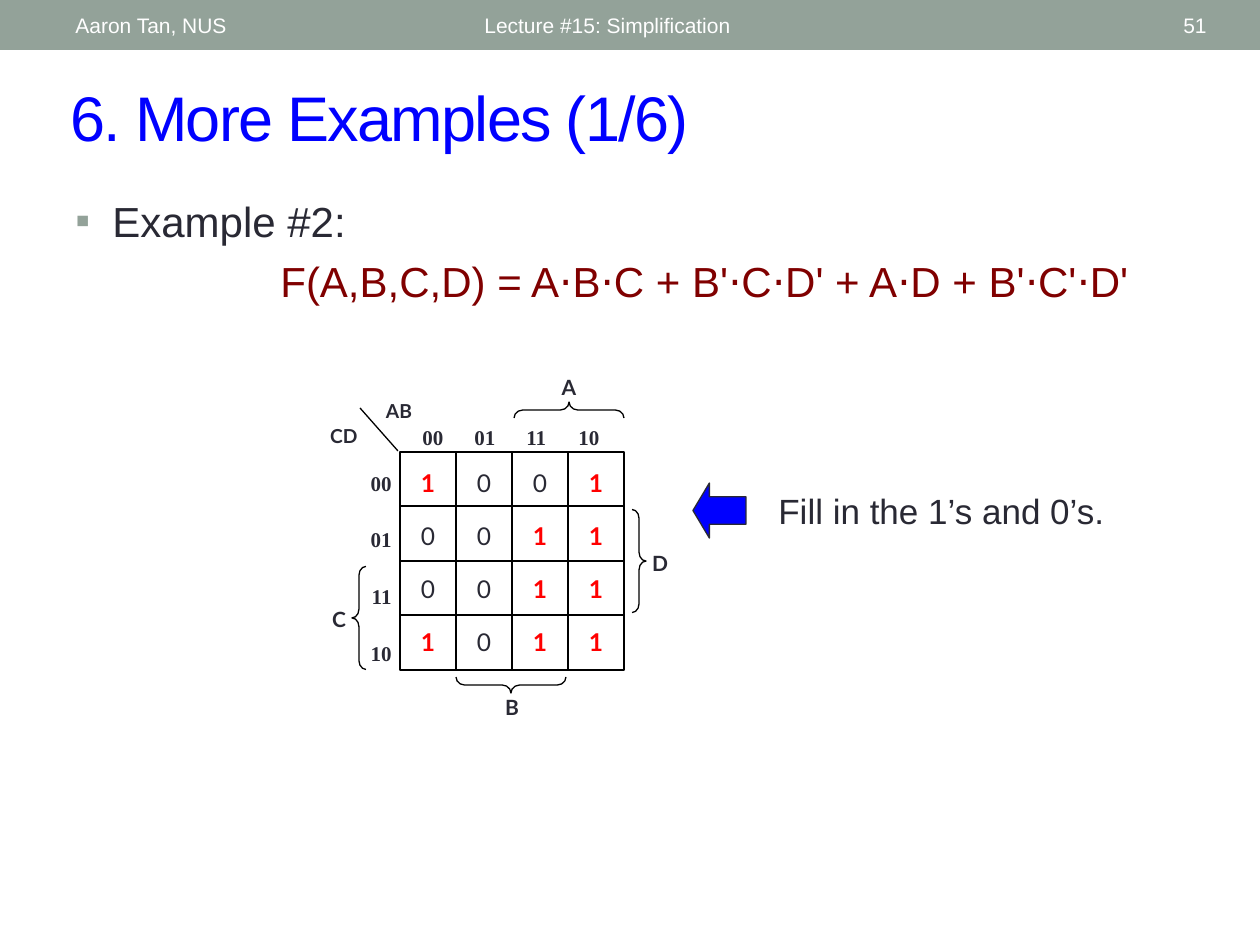
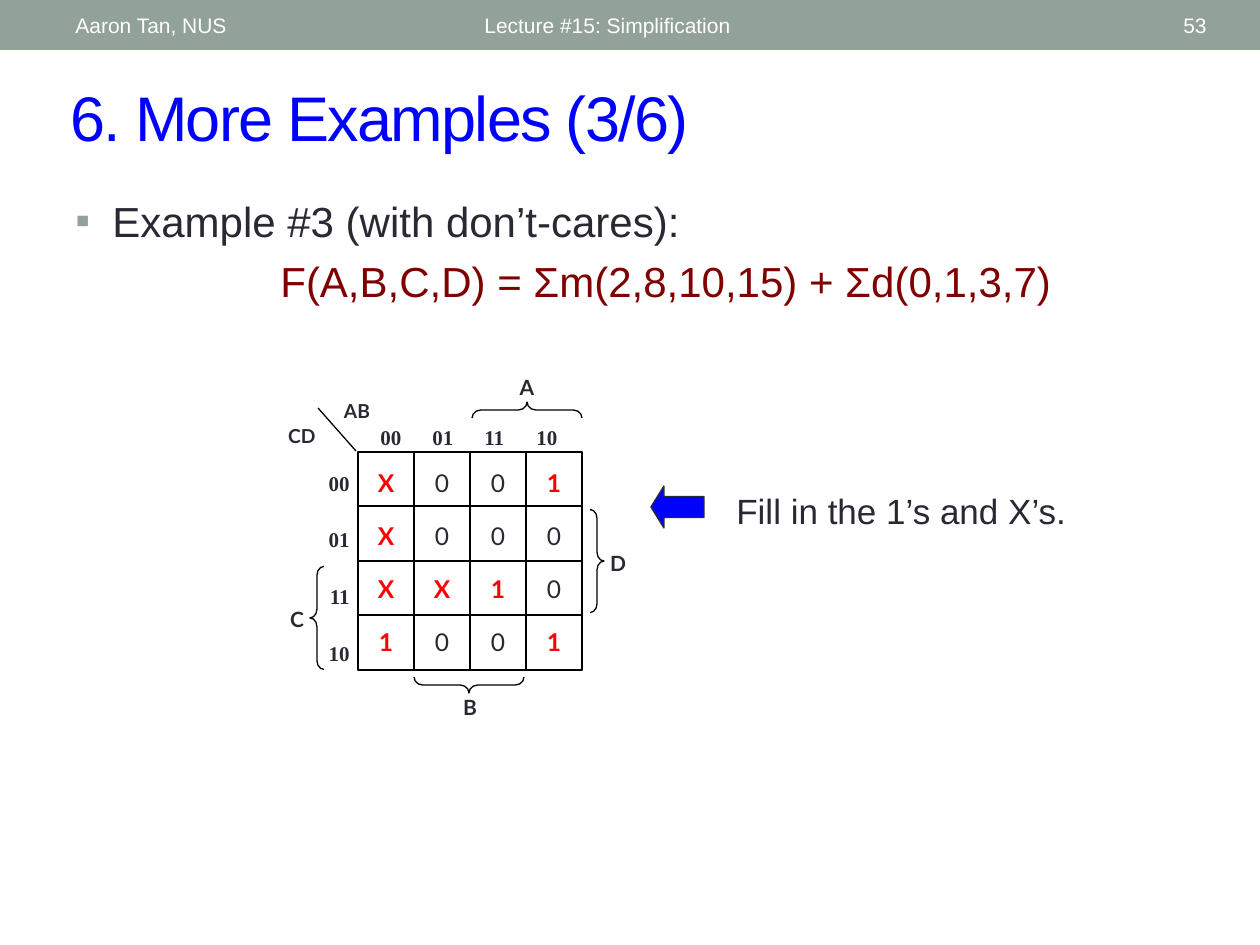
import pptx
import pptx.util
import pptx.dml.color
import pptx.enum.shapes
import pptx.enum.text
import pptx.oxml.ns
from lxml import etree

EMU_PER_PX = 914400 / 126
COLORS = {
    "band": "93A299",
    "white": "FFFFFF",
    "title": "0000FF",
    "text": "292934",
    "formula": "800000",
    "term": "FF0000",
    "line": "000000",
}
SHAPE = pptx.enum.shapes.MSO_SHAPE
ALIGN = pptx.enum.text.PP_ALIGN
MIDDLE = pptx.enum.text.MSO_ANCHOR.MIDDLE

# K-map geometry
MAP_TOP, MAP_W, MAP_H = 452, 224, 218
CELL_W, CELL_STEP_Y = 56, 53


def px(n):
    return pptx.util.Emu(round(n * EMU_PER_PX))


def rgb(name):
    return pptx.dml.color.RGBColor.from_string(COLORS[name])


def add_xml(parent, tag, **attrs):
    return etree.SubElement(parent, pptx.oxml.ns.qn(tag), attrs)


def format_runs(p, size, color, font="Arial", bold=False):
    for r in p.runs:
        r.font.size = pptx.util.Pt(size)
        r.font.name = font
        r.font.bold = bold
        r.font.color.rgb = rgb(color)


# Basic elements
def add_text(s, x, y, w, h, text, size, color="text", font="Arial",
             bold=False, align=ALIGN.LEFT, anchor=None):
    tf = s.shapes.add_textbox(px(x), px(y), px(w), px(h)).text_frame
    tf.word_wrap = True
    tf.vertical_anchor = anchor
    tf.text = text
    for p in tf.paragraphs:
        p.alignment = align
        format_runs(p, size, color, font, bold)
    return tf


def add_shape(s, kind, x, y, w, h, fill=None, line=None):
    sp = s.shapes.add_shape(kind, px(x), px(y), px(w), px(h))
    sp.shadow.inherit = False
    if fill:
        sp.fill.solid()
        sp.fill.fore_color.rgb = rgb(fill)
    else:
        sp.fill.background()
    if line:
        sp.line.color.rgb = rgb(line)
        sp.line.width = pptx.util.Pt(0.75)
    else:
        sp.line.fill.background()
    return sp


def add_line(s, x1, y1, x2, y2):
    cx = s.shapes.add_connector(pptx.enum.shapes.MSO_CONNECTOR.STRAIGHT,
                                px(x1), px(y1), px(x2), px(y2))
    cx.line.color.rgb = rgb("line")
    cx.line.width = pptx.util.Pt(0.75)
    add_xml(cx._element.spPr, "a:effectLst")


def add_brace(s, center_x, center_y, w, h, rotation, curve):
    sp = add_shape(s, SHAPE.LEFT_BRACE, center_x - w / 2, center_y - h / 2,
                   w, h, line="line")
    sp.adjustments[0] = curve
    sp.rotation = rotation


# Slide frame
def add_frame(s, title, number):
    add_shape(s, SHAPE.RECTANGLE, 0, 0, 1260, 50, fill="band")
    add_text(s, 63, 2, 399, 46, "Aaron Tan, NUS", 12, "white", anchor=MIDDLE)
    add_text(s, 472, 2, 567, 46, "Lecture #15: Simplification", 12, "white",
             anchor=MIDDLE)
    add_text(s, 1099, 2, 120, 46, number, 12, "white", align=ALIGN.RIGHT,
             anchor=MIDDLE)
    tf = add_text(s, 58, 72, 1143, 88, title, 36, "title", anchor=MIDDLE)
    tf.paragraphs[0].runs[0].font._element.set("spc", "-100")


def add_example(s, heading, formula):
    tf = add_text(s, 63, 189, 1134, 170, heading + "\n" + formula, 24)
    bullet, equation = tf.paragraphs
    pPr = bullet._p.get_or_add_pPr()
    pPr.set("marL", str(px(37)))
    pPr.set("indent", str(px(-37)))
    add_xml(add_xml(pPr, "a:buClr"), "a:srgbClr", val=COLORS["band"])
    add_xml(pPr, "a:buFont", typeface="Arial")
    add_xml(pPr, "a:buChar", char="▪")
    equation._p.get_or_add_pPr().set("marL", str(px(205)))
    equation.space_before = pptx.util.Pt(5.5)
    format_runs(equation, 24, "formula")


# K-map
def add_grid(s, x):
    add_shape(s, SHAPE.RECTANGLE, x, MAP_TOP, MAP_W, MAP_H, line="line")
    for i in range(1, 4):
        row_y = MAP_TOP + MAP_H * i // 4
        col_x = x + CELL_W * i
        add_line(s, x, row_y, x + MAP_W, row_y)
        add_line(s, col_x, MAP_TOP, col_x, MAP_TOP + MAP_H)
    add_line(s, x - 2, 451, x - 40, 408)


def add_codes(s, x):
    codes = ["00", "01", "11", "10"]
    tf = add_text(s, x + 10, 418, 209, 44, "\t".join(codes), 12,
                  font="Times New Roman", bold=True)
    tabs = add_xml(tf.paragraphs[0]._p.get_or_add_pPr(), "a:tabLst")
    for i in range(1, 4):
        add_xml(tabs, "a:tab", pos=str(px(52 * i)), algn="l")
    tf = add_text(s, x - 45, 464, 49, 226, "\n".join(codes), 12,
                  font="Times New Roman", bold=True, align=ALIGN.RIGHT)
    for p in tf.paragraphs:
        p.space_after = pptx.util.Pt(18)


def add_variables(s, x):
    for name, dx, y, w, h, size in [
        ("A", 148, 368, 42, 34, 12),
        ("B", 91, 688, 42, 33, 12),
        ("C", -82, 600, 42, 44, 12),
        ("D", 239, 544, 42, 44, 12),
        ("CD", -95, 418, 78, 37, 11),
        ("AB", -33, 393, 64, 37, 11),
    ]:
        add_text(s, x + dx, y, w, h, name, size, font="Lato", bold=True,
                 align=ALIGN.CENTER)
    add_brace(s, x + 169, 410, 16, 110, 90, 0.54)
    add_brace(s, x + 111, 685, 16, 110, 270, 0.54)
    add_brace(s, x - 41, 618, 14, 103, 0, 0.63)
    add_brace(s, x + 239, 561, 14, 103, 180, 0.63)


def add_kmap(s, x, rows):
    add_grid(s, x)
    add_codes(s, x)
    add_variables(s, x)
    for i, row in enumerate(rows):
        for j, value in enumerate(row):
            is_term = value != "0"
            add_text(s, x + CELL_W * j, MAP_TOP + 10 + CELL_STEP_Y * i,
                     CELL_W, 44, value, 14, "term" if is_term else "text",
                     "Lato", is_term, ALIGN.CENTER)


def add_hint(s, map_x, text, arrow_y, arrow_h):
    sp = add_shape(s, SHAPE.LEFT_ARROW, map_x + 293, arrow_y, 53, arrow_h,
                   fill="title", line="text")
    sp.adjustments[1] = 0.31
    add_text(s, map_x + 366, 483, 388, 55, text, 20)


def main():
    prs = pptx.Presentation()
    prs.slide_width, prs.slide_height = px(1260), px(945)
    blank = prs.slide_layouts[6]

    # Example 2
    s = prs.slides.add_slide(blank)
    add_frame(s, "6. More Examples (1/6)", "51")
    add_example(s, "Example #2:",
                "F(A,B,C,D) = A⋅B⋅C + B'⋅C⋅D' + A⋅D + B'⋅C'⋅D'")
    add_hint(s, 400, "Fill in the 1’s and 0’s.", 483, 55)
    add_kmap(s, 400, ["1001", "0011", "0011", "1011"])

    # Example 3
    s = prs.slides.add_slide(blank)
    add_frame(s, "6. More Examples (3/6)", "53")
    add_example(s, "Example #3 (with don’t-cares):",
                "F(A,B,C,D) = Σm(2,8,10,15) + Σd(0,1,3,7)")
    add_hint(s, 358, "Fill in the 1’s and X’s.", 486, 42)
    add_kmap(s, 358, ["X001", "X000", "XX10", "1001"])

    prs.save("out.pptx")


if __name__ == "__main__":
    main()
